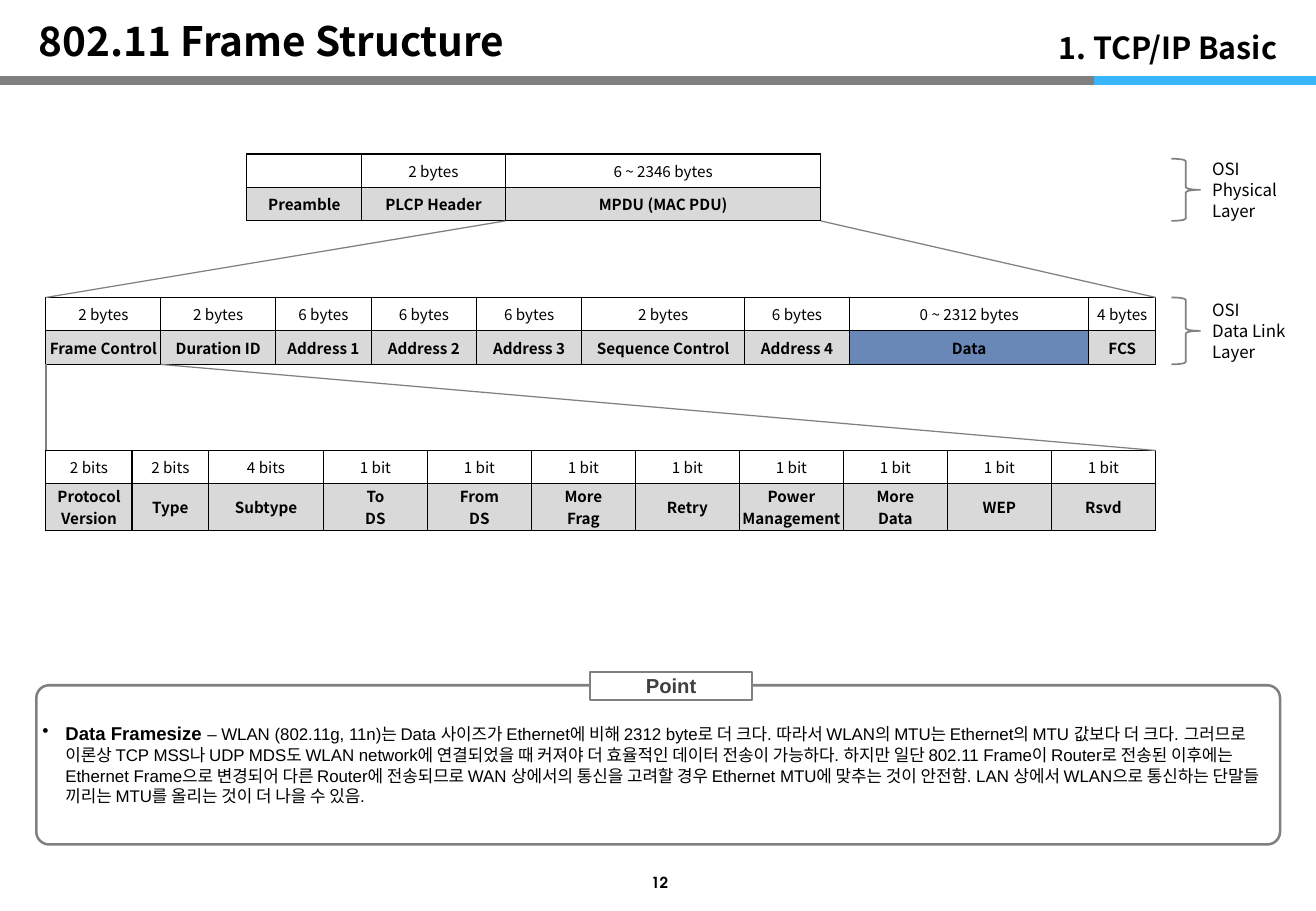
"""Build the 802.11 frame structure slide."""
import lxml.etree
import pptx
import pptx.dml.color
import pptx.enum.shapes
import pptx.enum.text
import pptx.oxml.ns
import pptx.util

Cm, Pt = pptx.util.Cm, pptx.util.Pt
SHAPE = pptx.enum.shapes.MSO_SHAPE
ALIGN = pptx.enum.text.PP_ALIGN
ANCHOR = pptx.enum.text.MSO_ANCHOR
qn = pptx.oxml.ns.qn

COLORS = {"black": "000000", "dark": "404040", "gray": "808080", "label": "D9D9D9",
          "white": "FFFFFF", "data": "6987B7", "accent": "39B5FF"}
SANS, LATIN, NUMBER = "Noto Sans CJK KR", "Arial", "TeX Gyre Adventor"

PHY = [("", "Preamble", 2.4), ("2 bytes", "PLCP Header", 3), ("6 ~ 2346 bytes", "MPDU (MAC PDU)", 6.6)]
MAC = [("2 bytes", "Frame Control", 2.4), ("2 bytes", "Duration ID", 2.4),
       ("6 bytes", "Address 1", 2), ("6 bytes", "Address 2", 2.2), ("6 bytes", "Address 3", 2.2),
       ("2 bytes", "Sequence Control", 3.4), ("6 bytes", "Address 4", 2.2),
       ("0 ~ 2312 bytes", "Data", 5), ("4 bytes", "FCS", 1.4)]
FLAGS = ["To\nDS", "From\nDS", "More\nFrag", "Retry", "Power\nManagement", "More\nData", "WEP", "Rsvd"]
CONTROL = [("2 bits", "Protocol\nVersion", 1.8), ("2 bits", "Type", 1.6), ("4 bits", "Subtype", 2.4)]
CONTROL += [("1 bit", flag, 17.4 / len(FLAGS)) for flag in FLAGS]
POINT = [
    ("Data Framesize ", 11, True),
    ("– WLAN (802.11g, 11n)는 Data 사이즈가 Ethernet에 비해 2312 byte로 더 크다. "
     "따라서 WLAN의 MTU는 Ethernet의 MTU 값보다 더 크다.", 10, False),
    (" ", 11, True),
    ("그러므로 이론상 TCP MSS나 UDP MDS도 WLAN network에 연결되었을 때 커져야 더 효율적인 "
     "데이터 전송이 가능하다. 하지만 일단 802.11 Frame이 Router로 전송된 이후에는 "
     "Ethernet Frame으로 변경되어 다른 Router에 전송되므로 WAN 상에서의 통신을 고려할 경우 "
     "Ethernet MTU에 맞추는 것이 안전함. LAN 상에서 WLAN으로 통신하는 단말들 끼리는 "
     "MTU를 올리는 것이 더 나을 수 있음.", 10, False)]


def rgb(name):
    """Return the named colour."""
    return pptx.dml.color.RGBColor.from_string(COLORS[name])


def style(tf, size, font=SANS, color="black", bold=False, align=ALIGN.LEFT, spacing=None):
    """Format every paragraph of a text frame alike."""
    tf.word_wrap = True
    for p in tf.paragraphs:
        p.alignment, p.line_spacing = align, spacing
        p.font.size, p.font.name, p.font.bold = Pt(size), font, bold
        p.font.color.rgb = rgb(color)


def add_text(s, box, text, size, anchor=ANCHOR.TOP, **look):
    """Add a text box."""
    tf = s.shapes.add_textbox(*map(Cm, box)).text_frame
    tf.text, tf.vertical_anchor = text, anchor
    style(tf, size, **look)


def add_line(s, start, end, color="gray", width=0.75):
    """Add a straight line without a shadow."""
    line = s.shapes.add_connector(pptx.enum.shapes.MSO_CONNECTOR.STRAIGHT, *map(Cm, start + end))
    line.line.color.rgb, line.line.width = rgb(color), Pt(width)
    lxml.etree.SubElement(line._element.spPr, qn("a:effectLst"))


def add_outline(s, kind, box, width, fill=None):
    """Add a gray outlined shape."""
    sp = s.shapes.add_shape(kind, *map(Cm, box))
    sp.shadow.inherit = False
    sp.line.color.rgb, sp.line.width = rgb("gray"), Pt(width)
    if fill:
        sp.fill.solid()
        sp.fill.fore_color.rgb = rgb(fill)
    else:
        sp.fill.background()
    return sp


def format_cell(cell, text, fill, bold):
    """Fill, frame and label one table cell."""
    cell.margin_left = cell.margin_right = Cm(0.05)
    cell.margin_top = cell.margin_bottom = Cm(0.03)
    cell.vertical_anchor = ANCHOR.MIDDLE
    tcPr = cell._tc.get_or_add_tcPr()
    for side in ("a:lnL", "a:lnR", "a:lnT", "a:lnB"):
        ln = lxml.etree.SubElement(tcPr, qn(side), w=str(Pt(0.75)))
        solid = lxml.etree.SubElement(ln, qn("a:solidFill"))
        lxml.etree.SubElement(solid, qn("a:srgbClr"), val=COLORS["black"])
    cell.fill.solid()
    cell.fill.fore_color.rgb = rgb(fill)
    cell.text = text
    style(cell.text_frame, 9, bold=bold, align=ALIGN.CENTER)
    if not text:
        lxml.etree.SubElement(cell.text_frame.paragraphs[0]._p, qn("a:endParaRPr"), sz="900")


def add_frame(s, left, top, fields, label_height=0.7):
    """Add a table of field sizes over field names."""
    size_height = 0.7
    width = sum(field[2] for field in fields)
    table = s.shapes.add_table(2, len(fields), Cm(left), Cm(top), Cm(width),
                               Cm(size_height + label_height)).table
    table.first_row = table.horz_banding = False
    table.rows[0].height, table.rows[1].height = Cm(size_height), Cm(label_height)
    for i, (size, name, width) in enumerate(fields):
        table.columns[i].width = Cm(width)
        format_cell(table.cell(0, i), size, "white", False)
        format_cell(table.cell(1, i), name, "data" if name == "Data" else "label", True)


def add_layer(s, left, top, height, name):
    """Add a brace with the layer's name centred beside it."""
    add_outline(s, SHAPE.RIGHT_BRACE, (left, top, 0.6, height), 1)
    text_height = 1.55
    box = (left + 0.6, top + (height - text_height) / 2, 2.41, text_height)
    add_text(s, box, "OSI\n" + name + "\nLayer", 10, spacing=Pt(12.2))


def add_header(s, left, top, width):
    """Place the title, the chapter and the two-colour rule."""
    title = s.shapes.title
    title.left, title.top, title.width, title.height = map(Cm, (left + 0.56, top + 0.18, 18.2, 1.32))
    tf = title.text_frame
    tf.text, tf.vertical_anchor = "802.11 Frame Structure", ANCHOR.BOTTOM
    tf.auto_size = pptx.enum.text.MSO_AUTO_SIZE.NONE
    style(tf, 24, bold=True, spacing=0.9)
    add_text(s, (left + width - 6.76, top + 0.18, 6.2, 1.32), "1. TCP/IP Basic", 18,
             ANCHOR.BOTTOM, bold=True, align=ALIGN.RIGHT, spacing=0.9)
    rule, split = top + 1.68, left + 22.86
    add_line(s, (left, rule), (split, rule), width=5)
    add_line(s, (split, rule), (left + width, rule), "accent", 5)


def add_diagram(s, left, top):
    """Place the three nested frames, their zoom lines and the layers."""
    phy_left, mac_top, control_top, height = left + 4.2, top + 3, top + 6.2, 1.4
    right = left + sum(field[2] for field in MAC)
    mpdu_left, mpdu_right = phy_left + 5.4, phy_left + 12
    add_frame(s, phy_left, top, PHY)
    add_frame(s, left, mac_top, MAC)
    add_frame(s, left, control_top, CONTROL, 0.98)
    for x_low, y_low, x_high, y_high in (
            (left, mac_top, mpdu_left, top), (right, mac_top, mpdu_right, top),
            (left, control_top, left, mac_top), (right, control_top, left + MAC[0][2], mac_top)):
        add_line(s, (x_low, y_low), (x_high, y_high + height))
    add_layer(s, right + 0.33, top + 0.1, height - 0.1, "Physical")
    add_layer(s, right + 0.33, mac_top, height, "Data Link")


def add_point(s, left, top, width, height):
    """Place the rounded note with its label on the top edge."""
    sp = add_outline(s, SHAPE.ROUNDED_RECTANGLE, (left, top, width, height), 1.5)
    sp.adjustments[0] = 0.08
    tf = sp.text_frame
    tf.margin_left = tf.margin_right = Cm(0.05)
    tf.vertical_anchor = ANCHOR.MIDDLE
    p = tf.paragraphs[0]
    for text, size, bold in POINT:
        r = p.add_run()
        r.text, r.font.size, r.font.bold = text, Pt(size), bold
        lxml.etree.SubElement(r._r.get_or_add_rPr(), qn("a:ea"), typeface=SANS)
    style(tf, 10, LATIN, spacing=Pt(12.2))
    pPr = p._p.get_or_add_pPr()
    pPr.set("marL", str(Cm(0.48)))
    pPr.set("indent", str(Cm(-0.48)))
    bullet = lxml.etree.Element(qn("a:buChar"), char="•")
    pPr.find(qn("a:defRPr")).addprevious(bullet)
    label = add_outline(s, SHAPE.FLOWCHART_PROCESS, (left + 11.58, top - 0.28, 3.38, 0.58), 1.25, "white")
    label.text_frame.text = "Point"
    label.text_frame.vertical_anchor = ANCHOR.MIDDLE
    style(label.text_frame, 12, LATIN, "dark", True, ALIGN.CENTER)


prs = pptx.Presentation()
prs.slide_width, prs.slide_height = Cm(27.51), Cm(19.05)
s = prs.slides.add_slide(prs.slide_layouts[5])
add_header(s, 0, 0, 27.51)
add_diagram(s, 0.96, 3.22)
add_point(s, 0.76, 14.33, 26, 3.33)
add_text(s, (12.7, 18.13, 2.18, 0.66), "12", 9, ANCHOR.MIDDLE, font=NUMBER, bold=True, align=ALIGN.CENTER)
prs.save("out.pptx")
